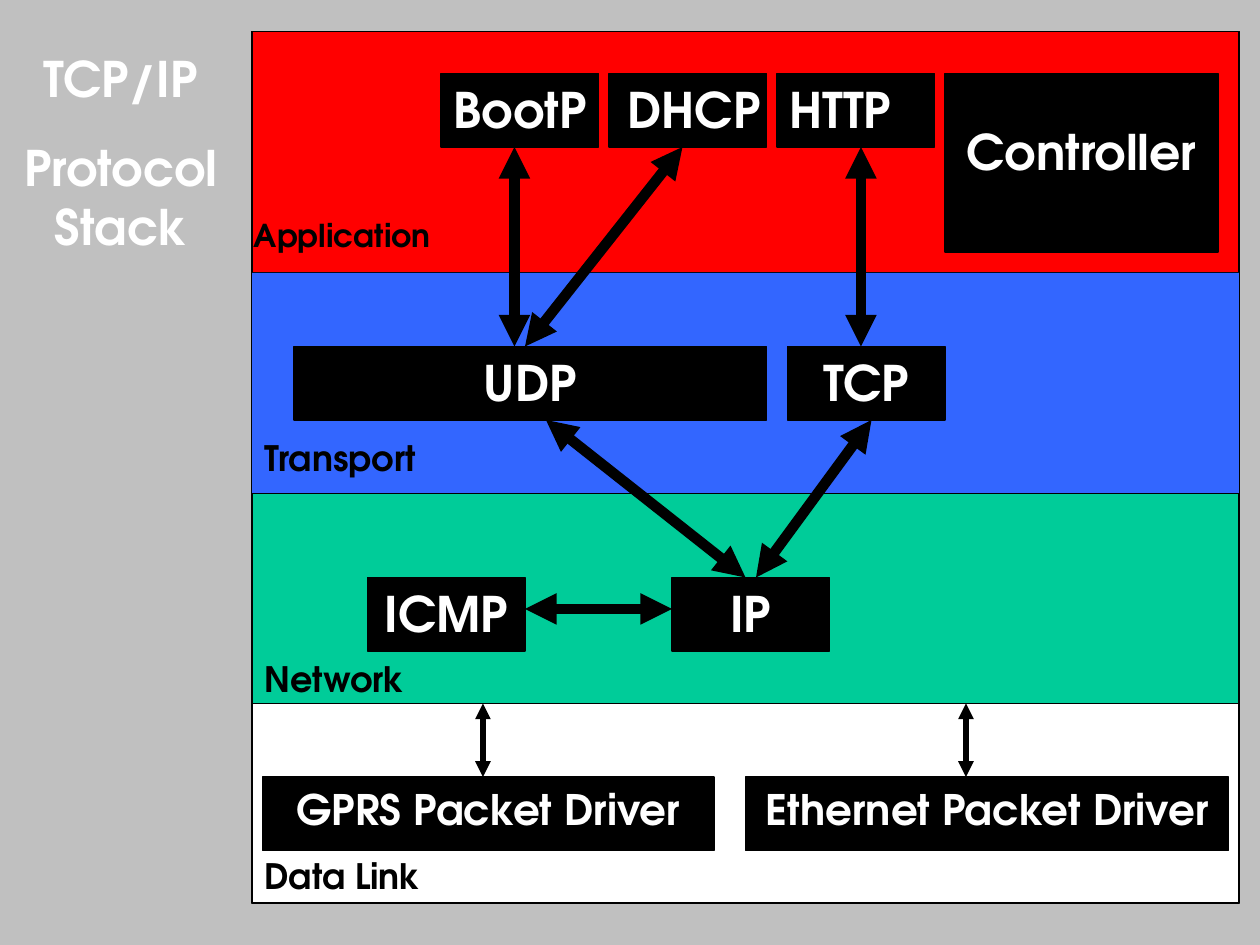
from lxml import etree
from pptx import Presentation
from pptx.dml.color import RGBColor
from pptx.enum.shapes import MSO_CONNECTOR, MSO_SHAPE
from pptx.enum.text import MSO_ANCHOR, PP_ALIGN
from pptx.oxml.ns import qn
from pptx.util import Cm, Pt

COLORS = {
    "background": "C0C0C0", "application": "FF0000", "transport": "3366FF",
    "network": "00CC99", "link": "FFFFFF", "dark": "000000", "light": "FFFFFF",
}
FONT = "TeX Gyre Adventor"
STACK_W = 94
BOX_W, BOX_H = 15, 7

# Height, name, label (text, size, left, rise above the band's bottom), outline
# and boxes (text, left, top, width, height, size, options)
LEFT = {"align": PP_ALIGN.LEFT, "right": 0}
BANDS = [
    (23, "application", ("Application", 18, -1, 6), True, [
        ("BootP", 18, 4, BOX_W, BOX_H, 28, LEFT),
        ("DHCP", 34, 4, BOX_W, BOX_H, 28, {"right": 0}),
        ("HTTP", 50, 4, BOX_W, BOX_H, 28, LEFT),
        ("Controller", 66, 4, 26, 17, 28, {"drop": 4}),
    ]),
    (21, "transport", ("Transport", 20, 0, 6), False, [
        ("UDP", 4, 7, 45, BOX_H, 28, {}),
        ("TCP", 51, 7, BOX_W, BOX_H, 28, {}),
    ]),
    (20, "network", ("Network", 20, 0, 5), True, [
        ("ICMP", 11, 8, BOX_W, BOX_H, 28, {}),
        ("IP", 40, 8, BOX_W, BOX_H, 28, {}),
    ]),
    (19, "link", ("Data Link", 20, 0, 5.2), True, [
        ("GPRS Packet Driver", 1, 7, 43, BOX_H, 24, {}),
        ("Ethernet Packet Driver", 47, 7, 46, BOX_H, 24, {}),
    ]),
]

# Start, end and weight, relative to the stack
ARROWS = [
    (25, 11, 25, 30, 6), (41, 11, 26, 30, 6), (58, 11, 58, 30, 6),
    (28, 37, 47, 52, 6), (59, 37, 48, 52, 6), (26, 55, 40, 55, 6),
    (22, 64, 22, 71, 3), (68, 64, 68, 71, 3),
]


def grid(n):
    """Length of n grid steps, twelve to the inch."""
    return Cm(n * 2.54 / 12)


def rgb(name):
    return RGBColor.from_string(COLORS[name])


def write(shape, lines, size, color, align=PP_ALIGN.CENTER, right=0.25, drop=0):
    tf = shape.text_frame
    tf.word_wrap = True
    tf.vertical_anchor = MSO_ANCHOR.TOP
    tf.margin_left, tf.margin_right = Cm(0.25), Cm(right)
    tf.margin_top, tf.margin_bottom = Cm(0.13) + grid(drop), Cm(0.13)
    for i, line in enumerate(lines):
        p = tf.paragraphs[0] if i == 0 else tf.add_paragraph()
        p.text = line
        p.alignment = align
        if i:
            p.space_before = Pt(17.5)
        p.font.name, p.font.size, p.font.bold = FONT, Pt(size), True
        p.font.color.rgb = rgb(color)


def add_text(s, left, top, width, height, lines, size, color, **options):
    box = s.shapes.add_textbox(*map(grid, (left, top, width, height)))
    write(box, lines, size, color, **options)


def add_rect(s, left, top, width, height, fill, outline=True):
    rect = s.shapes.add_shape(MSO_SHAPE.RECTANGLE,
                              *map(grid, (left, top, width, height)))
    rect.shadow.inherit = False
    rect.fill.solid()
    rect.fill.fore_color.rgb = rgb(fill)
    if outline:
        rect.line.color.rgb = rgb("dark")
        rect.line.width = Pt(0.75)
    else:
        rect.line.fill.background()
    return rect


def add_arrow(s, x1, y1, x2, y2, weight):
    arrow = s.shapes.add_connector(MSO_CONNECTOR.STRAIGHT,
                                   *map(grid, (x1, y1, x2, y2)))
    arrow.line.color.rgb = rgb("dark")
    arrow.line.width = Pt(weight)
    ln = arrow.line._get_or_add_ln()
    for end in ("a:headEnd", "a:tailEnd"):
        etree.SubElement(ln, qn(end), type="triangle")
    etree.SubElement(arrow._element.spPr, qn("a:effectLst"))


def add_band(s, left, top, height, name, label, outline, boxes):
    add_rect(s, left, top, STACK_W, height, name, outline)
    for text, x, y, w, h, size, options in boxes:
        rect = add_rect(s, left + x, top + y, w, h, "dark")
        write(rect, [text], size, "light", **options)
    text, size, x, rise = label
    add_text(s, left + x, top + height - rise, 25, 5, [text], size, "dark",
             align=PP_ALIGN.LEFT)


def add_stack(s, left, top):
    # Frame behind the layers
    add_rect(s, left, top, STACK_W, sum(b[0] for b in BANDS), "link")
    # Layers from top to bottom
    y = top
    for height, *band in BANDS:
        add_band(s, left, y, height, *band)
        y += height
    # Links between the protocols
    for x1, y1, x2, y2, weight in ARROWS:
        add_arrow(s, left + x1, top + y1, left + x2, top + y2, weight)


def main():
    prs = Presentation()
    prs.slide_width, prs.slide_height = Cm(25.4), Cm(19.05)
    s = prs.slides.add_slide(prs.slide_layouts[6])
    s.background.fill.solid()
    s.background.fill.fore_color.rgb = rgb("background")
    add_text(s, 0, 4, 23, 21, ["TCP/IP", "Protocol Stack"], 28, "light")
    add_stack(s, 24, 3)
    prs.save("out.pptx")


if __name__ == "__main__":
    main()
